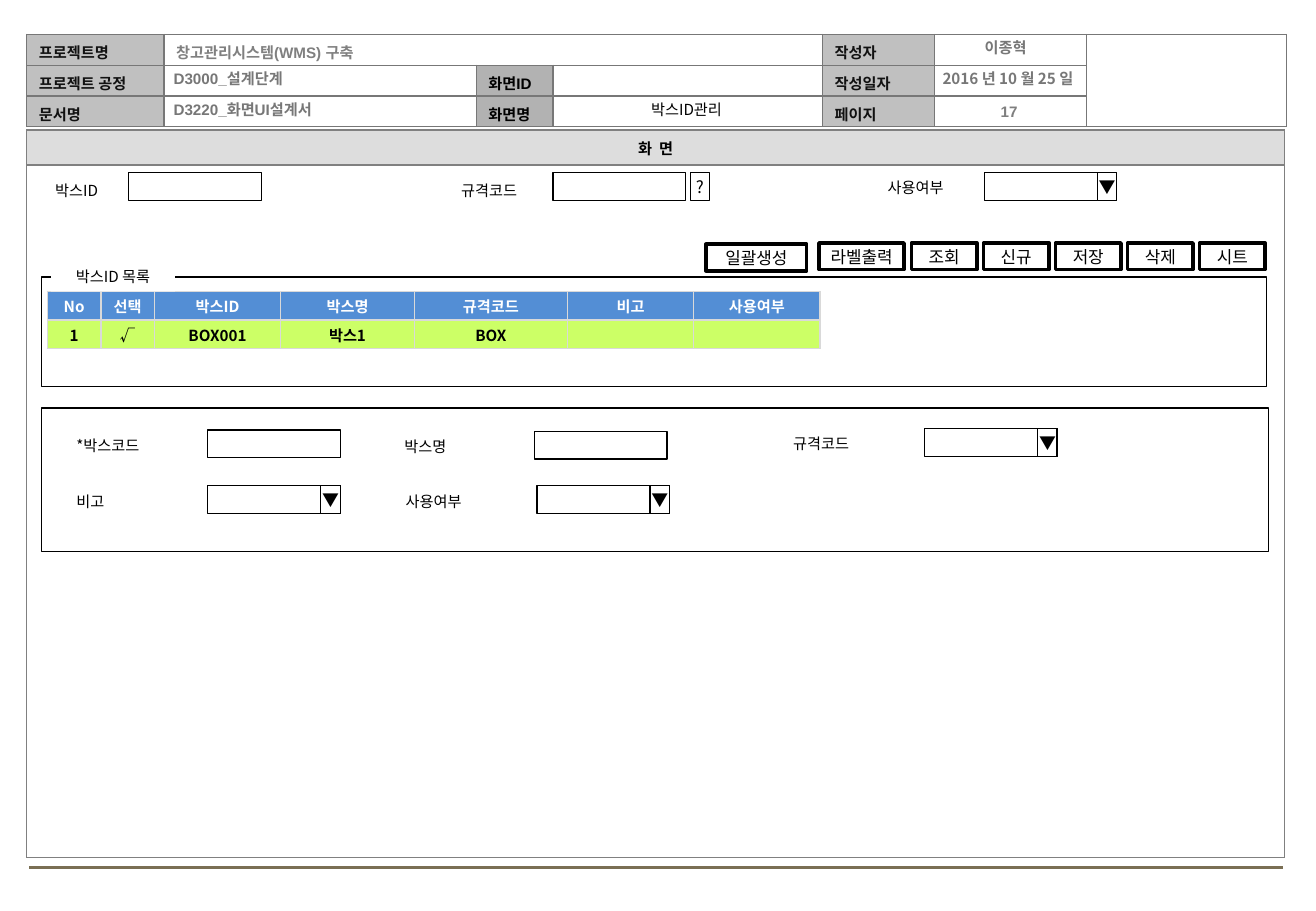
from dataclasses import dataclass
from typing import Any, Optional

from lxml.etree import SubElement
from pptx import Presentation
from pptx.dml.color import RGBColor
from pptx.enum.shapes import MSO_CONNECTOR, MSO_SHAPE
from pptx.enum.text import MSO_ANCHOR, PP_ALIGN
from pptx.oxml.ns import qn
from pptx.util import Emu, Inches, Pt

GRID = Inches(0.1)
COLS, ROWS = 108.3, 75
KR, LATIN = "Noto Sans CJK KR", "Arial"
LEFT, CENTER = PP_ALIGN.LEFT, PP_ALIGN.CENTER
BOX_W, BOX_H, ARROW_W, LABEL_H = 10.9, 2.3, 1.6, 2.5
TIGHT = dict(margin_left=0.2, margin_right=0.2, margin_top=0.4, margin_bottom=0.4)
HEADER_INSET = dict(margin_left=1, margin_right=1, margin_top=0.4, margin_bottom=0)
LIST_INSET = dict(margin_left=0.1, margin_right=0.1, margin_top=0.1, margin_bottom=0)


@dataclass(frozen=True)
class Style:
    size: float = 9
    color: str = "000000"
    bold: bool = False
    font: str = KR
    align: Any = LEFT


@dataclass(frozen=True)
class Cell:
    text: str = ""
    fill: Optional[str] = None
    style: Style = Style()


@dataclass(frozen=True)
class Field:
    label: str
    x: float
    y: float
    label_w: float
    box_dx: float
    box_dy: float
    align: Any
    combo: bool = False


@dataclass(frozen=True)
class Note:
    text: str
    x: float
    y: float
    w: float
    style: Style


BODY, CAPTION = Style(), Style(align=CENTER)
BUTTON = Style(size=10, align=CENTER)
TITLE = Style(bold=True, font=LATIN, align=CENTER)
HEAD = Style(color="111111", bold=True, font=LATIN)
HEAD_BLACK = Style(bold=True, font=LATIN)
PROJECT = Style(color="808080", bold=True, font=LATIN)
STAGE = Style(color="777777", bold=True, font=LATIN)
AUTHOR = Style(color="777777", bold=True, align=CENTER)
PAGE = Style(color="7F7F7F", bold=True, font=LATIN, align=CENTER)
LIST_HEAD = Style(color="FFFFFF", bold=True, align=CENTER)
LIST_BODY = Style(bold=True, align=CENTER)


def u(n: float) -> Emu:
    return Emu(round(n * GRID))


def rgb(value: str) -> RGBColor:
    return RGBColor.from_string(value)


def apply(obj: Any, values: dict) -> None:
    for name, value in values.items():
        setattr(obj, name, value)


def write(tf: Any, text: str, st: Style) -> None:
    p = tf.paragraphs[0]
    p.alignment = st.align
    if not text:
        SubElement(p._p, qn("a:endParaRPr"), sz=str(st.size * 100))
        return
    r = p.add_run()
    r.text = text
    apply(r.font, dict(size=Pt(st.size), bold=st.bold, name=st.font))
    r.font.color.rgb = rgb(st.color)
    SubElement(r._r.get_or_add_rPr(), qn("a:ea"), typeface=KR)


def add_label(sl: Any, text: str, x: float, y: float, w: float, st: Style) -> Any:
    sp = sl.shapes.add_textbox(u(x), u(y), u(w), u(LABEL_H))
    sp.text_frame.word_wrap = True
    write(sp.text_frame, text, st)
    return sp


def add_box(sl: Any, x: float, y: float, w: float, h: float, line: float = 0.75,
            fill: Optional[str] = None, text: str = "") -> None:
    sp = sl.shapes.add_shape(MSO_SHAPE.RECTANGLE, u(x), u(y), u(w), u(h))
    sp.shadow.inherit = False
    if fill:
        sp.fill.solid()
        sp.fill.fore_color.rgb = rgb(fill)
    else:
        sp.fill.background()
    sp.line.color.rgb = rgb("000000")
    sp.line.width = Pt(line)
    if text:
        tf = sp.text_frame
        apply(tf, {k: u(v) for k, v in TIGHT.items()})
        apply(tf, dict(word_wrap=False, vertical_anchor=MSO_ANCHOR.MIDDLE))
        write(tf, text, BUTTON)


def add_field(sl: Any, f: Field) -> None:
    x, y = f.x + f.box_dx, f.y + f.box_dy
    add_label(sl, f.label, f.x, f.y, f.label_w, BODY if f.align == LEFT else CAPTION)
    add_box(sl, x, y, BOX_W, BOX_H)
    if f.combo:
        add_box(sl, x + BOX_W - ARROW_W, y, ARROW_W, BOX_H, fill="FFFFFF", text="▼")


def add_grid(sl: Any, x: float, y: float, widths: list[float], heights: list[float],
             cells: list[list[Cell]], border: str, inset: dict,
             merges: tuple = ()) -> None:
    frame = sl.shapes.add_table(len(heights), len(widths), u(x), u(y),
                                u(sum(widths)), u(sum(heights)))
    tbl = frame.table
    apply(tbl, dict(first_row=False, horz_banding=False))
    for col, w in zip(tbl.columns, widths):
        col.width = u(w)
    for row, h in zip(tbl.rows, heights):
        row.height = u(h)
    for i, row_cells in enumerate(cells):
        for j, item in enumerate(row_cells):
            c = tbl.cell(i, j)
            apply(c, {k: u(v) for k, v in inset.items()})
            c.vertical_anchor = MSO_ANCHOR.MIDDLE
            for side in ("lnL", "lnR", "lnT", "lnB"):
                ln = SubElement(c._tc.get_or_add_tcPr(), qn(f"a:{side}"), w=str(Pt(1)))
                SubElement(SubElement(ln, qn("a:solidFill")), qn("a:srgbClr"), val=border)
            if item.fill:
                c.fill.solid()
                c.fill.fore_color.rgb = rgb(item.fill)
            else:
                c.fill.background()
            write(c.text_frame, item.text, item.style)
    for first, last in merges:
        tbl.cell(*first).merge(tbl.cell(*last))


def head(text: str) -> Cell:
    return Cell(text, "C0C0C0", HEAD)


def sub_head(text: str) -> Cell:
    return Cell(text, "B2B2B2", HEAD_BLACK)


def main() -> None:
    prs = Presentation()
    apply(prs, dict(slide_width=u(COLS), slide_height=u(ROWS)))
    sl = prs.slides.add_slide(prs.slide_layouts[6])

    rule = sl.shapes.add_connector(MSO_CONNECTOR.STRAIGHT, u(2.4), u(71.4), u(105.6), u(71.4))
    rule.line.color.rgb = rgb("7A6F54")
    rule.line.width = Pt(1.75)
    SubElement(rule._element.spPr, qn("a:effectLst"))

    gap = Cell()
    add_grid(sl, 2.2, 2.85, [11.3, 25.7, 6.3, 22.2, 9.2, 12.5, 16.5], [2.53] * 3, [
        [head("프로젝트명"), Cell("창고관리시스템(WMS) 구축", style=PROJECT), gap, gap,
         head("작성자"), gap, gap],
        [head("프로젝트 공정"), gap, sub_head("화면ID"), gap, head("작성일자"), gap, gap],
        [head("문서명"), gap, sub_head("화면명"), gap, head("페이지"), gap, gap],
    ], "777777", HEADER_INSET, (((0, 1), (0, 3)), ((0, 6), (2, 6))))
    add_grid(sl, 2.2, 10.7, [103.5], [2.9, 57], [[Cell("화  면", "DDDDDD", TITLE)], [gap]],
             "808080", LIST_INSET)

    for n in (
        Note("D3000_설계단계", 13.3, 5.2, 54.2, STAGE),
        Note("D3220_화면UI설계서", 13.3, 7.8, 54.2, STAGE),
        Note("이종혁", 74.9, 2.7, 15.7, AUTHOR),
        Note("2016 년 10 월 25 일", 75.1, 5.2, 15.7, AUTHOR),
        Note("17", 76.8, 7.9, 12.5, PAGE),
        Note("박스ID관리", 45.6, 7.8, 21.8, CAPTION),
    ):
        add_label(sl, n.text, n.x, n.y, n.w, n.style)

    titles = ["No", "선택", "박스ID", "박스명", "규격코드", "비고", "사용여부"]
    values = ["1", "√", "BOX001", "박스1", "BOX", "", ""]
    add_grid(sl, 3.9, 24, [4.4, 4.4, 10.4, 11, 12.6, 10.4, 10.4], [2.35] * 2, [
        [Cell(t, "538ED5", LIST_HEAD) for t in titles],
        [Cell(v, "CCFF66", LIST_BODY) for v in values],
    ], "D9D9D9", LIST_INSET)
    add_box(sl, 3.4, 22.8, 100.8, 9)
    caption = add_label(sl, "박스ID 목록", 4.2, 21.5, 10.2, CAPTION)
    caption.fill.solid()
    caption.fill.fore_color.rgb = rgb("FFFFFF")
    add_box(sl, 3.4, 33.6, 101, 11.8)

    for f in (
        Field("박스ID", 2.3, 14.4, 8, 8.3, -0.2, CENTER),
        Field("규격코드", 35, 14.4, 10.5, 10.5, -0.2, CENTER),
        Field("사용여부", 70.1, 14.2, 10.5, 10.9, 0, CENTER, True),
        Field("*박스코드", 5.3, 35.4, 11.7, 11.8, 0, LEFT),
        Field("박스명", 32.3, 35.5, 11.7, 11.7, 0, LEFT),
        Field("규격코드", 64.3, 35.3, 11.7, 11.8, 0, LEFT, True),
        Field("비고", 5.3, 40, 11.7, 11.8, 0, LEFT, True),
        Field("사용여부", 32.4, 40, 11.7, 11.8, 0, LEFT, True),
    ):
        add_field(sl, f)
    add_box(sl, 56.8, 14.2, ARROW_W, BOX_H, text="?")

    add_box(sl, 58.1, 20.1, 8.3, 2.2, 2, "FFFFFF", "일괄생성")
    add_box(sl, 67.4, 20, 7, 2.2, 2, "FFFFFF", "라벨출력")
    for i, name in enumerate(("조회", "신규", "저장", "삭제", "시트")):
        add_box(sl, 75 + 5.93 * i, 20, 5.4, 2.2, 2, "FFFFFF", name)

    prs.save("out.pptx")


if __name__ == "__main__":
    main()
